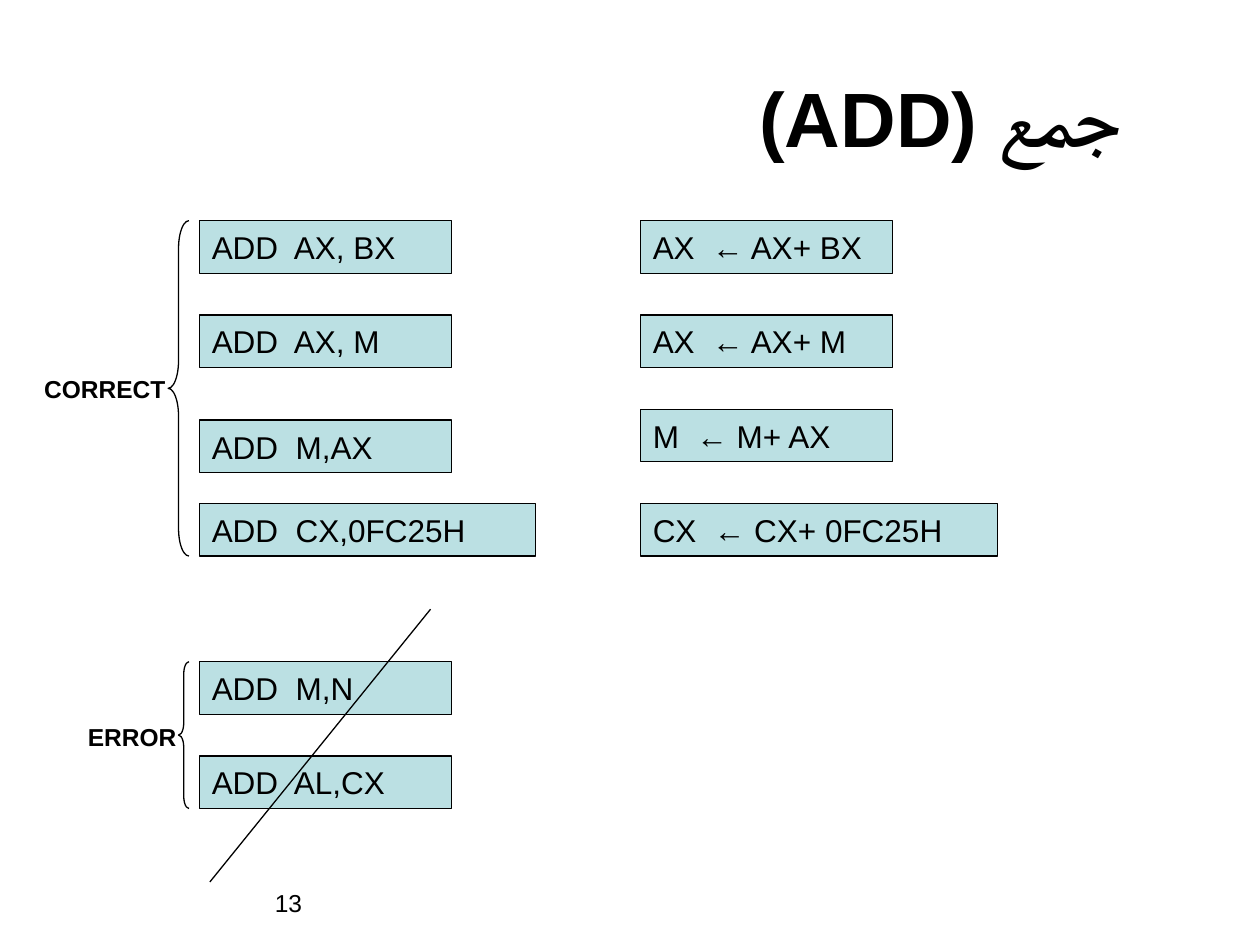
from dataclasses import dataclass
from lxml.etree import SubElement
from pptx import Presentation
from pptx.dml.color import RGBColor
from pptx.enum.shapes import MSO_CONNECTOR, MSO_SHAPE
from pptx.enum.text import MSO_ANCHOR, MSO_AUTO_SIZE, PP_ALIGN
from pptx.oxml.ns import qn
from pptx.util import Cm, Pt


@dataclass(frozen=True)
class Theme:
    ink: RGBColor = RGBColor(0, 0, 0)
    fill: RGBColor = RGBColor(0xBB, 0xE0, 0xE3)
    font: str = "Arial"
    head: Pt = Pt(44)
    code: Pt = Pt(18)
    note: Pt = Pt(14)
    rule: Pt = Pt(0.75)


theme = Theme()


def write(shape, text, size, bold=False, align=PP_ALIGN.LEFT):
    frame = shape.text_frame
    frame.text = text
    line = frame.paragraphs[0]
    line.alignment = align
    font = line.runs[0].font
    font.name, font.size, font.bold = theme.font, size, bold
    font.color.rgb = theme.ink
    return frame


def draw(kind, left, top, width, height):
    shape = slide.shapes.add_shape(kind, Cm(left), Cm(top), Cm(width), Cm(height))
    shape.shadow.inherit = False
    shape.line.color.rgb = theme.ink
    shape.line.width = theme.rule
    return shape


deck = Presentation()
deck.slide_width, deck.slide_height = Cm(25.4), Cm(19.05)
slide = deck.slides.add_slide(deck.slide_layouts[5])

title = slide.shapes.title
title.left, title.top, title.width, title.height = Cm(0), Cm(0.76), Cm(22.86), Cm(3.18)
frame = write(title, "جمع (ADD)", theme.head, True, PP_ALIGN.RIGHT)
frame.vertical_anchor = MSO_ANCHOR.MIDDLE
frame.auto_size = MSO_AUTO_SIZE.NONE
line = frame.paragraphs[0]
line._p.get_or_add_pPr().set("rtl", "1")
SubElement(line.runs[0]._r.get_or_add_rPr(), qn("a:cs")).set("typeface", theme.font)

first, step, tall, wide = 4.45, 1.9, 1.06, 5.08
code, result = 4.02, 12.91
rows = [first + step * i for i in range(4)]
wrong = 13.34
boxes = [
    ("ADD  AX, BX", code, rows[0], wide),
    ("AX  ← AX+ BX", result, rows[0], wide),
    ("ADD  AX, M", code, rows[1], wide),
    ("AX  ← AX+ M", result, rows[1], wide),
    ("ADD  M,AX", code, 8.47, wide),
    ("M  ← M+ AX", result, rows[2], wide),
    ("ADD  M,N", code, wrong, wide),
    ("ADD  AL,CX", code, wrong + step, wide),
    ("ADD  CX,0FC25H", code, rows[3], 6.77),
    ("CX  ← CX+ 0FC25H", result, rows[3], 7.2),
]
for text, left, top, width in boxes:
    box = draw(MSO_SHAPE.RECTANGLE, left, top, width, tall)
    box.fill.solid()
    box.fill.fore_color.rgb = theme.fill
    frame = write(box, text, theme.code)
    frame.vertical_anchor = MSO_ANCHOR.MIDDLE
    frame.word_wrap = False

strike = slide.shapes.add_connector(
    MSO_CONNECTOR.STRAIGHT, Cm(8.68), Cm(12.28), Cm(4.23), Cm(17.78))
strike.line.color.rgb = theme.ink
strike.line.width = theme.rule
SubElement(strike._element.spPr, qn("a:effectLst"))

edge = 3.81
for top, width, count, curve in [(first, 0.42, 3, 1.33), (wrong, 0.21, 1, 1.17)]:
    brace = draw(MSO_SHAPE.LEFT_BRACE, edge - width, top, width, step * count + tall)
    brace.fill.background()
    brace.adjustments[0] = curve

labels = [
    ("13", 5.29, 17.78, 3.81, 1.27, False),
    ("CORRECT", 0.64, 7.41, 2.95, 0.86, True),
    ("ERROR", 1.52, 14.43, 2.29, 0.86, True),
]
for text, left, top, width, height, bold in labels:
    label = slide.shapes.add_textbox(Cm(left), Cm(top), Cm(width), Cm(height))
    frame = write(label, text, theme.note, bold)
    frame.word_wrap = not bold
    frame.auto_size = MSO_AUTO_SIZE.SHAPE_TO_FIT_TEXT if bold else MSO_AUTO_SIZE.NONE

deck.save("out.pptx")
